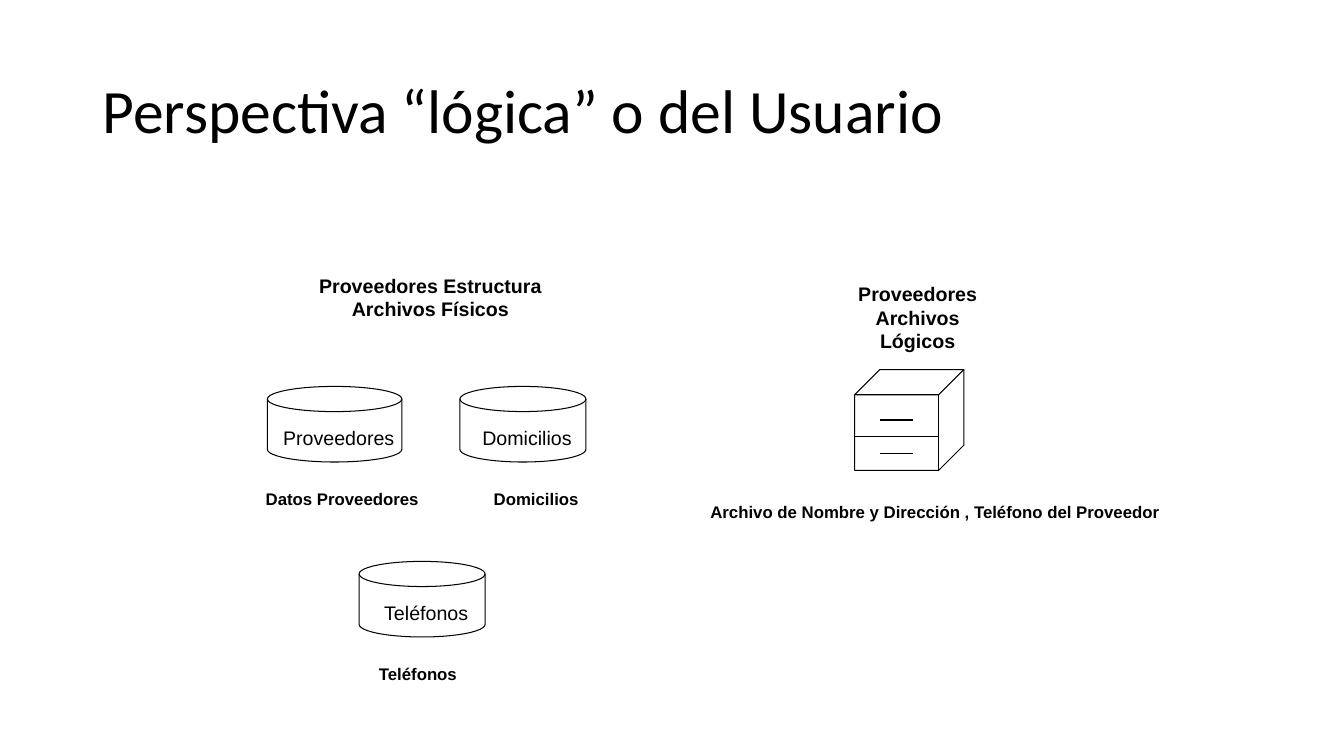
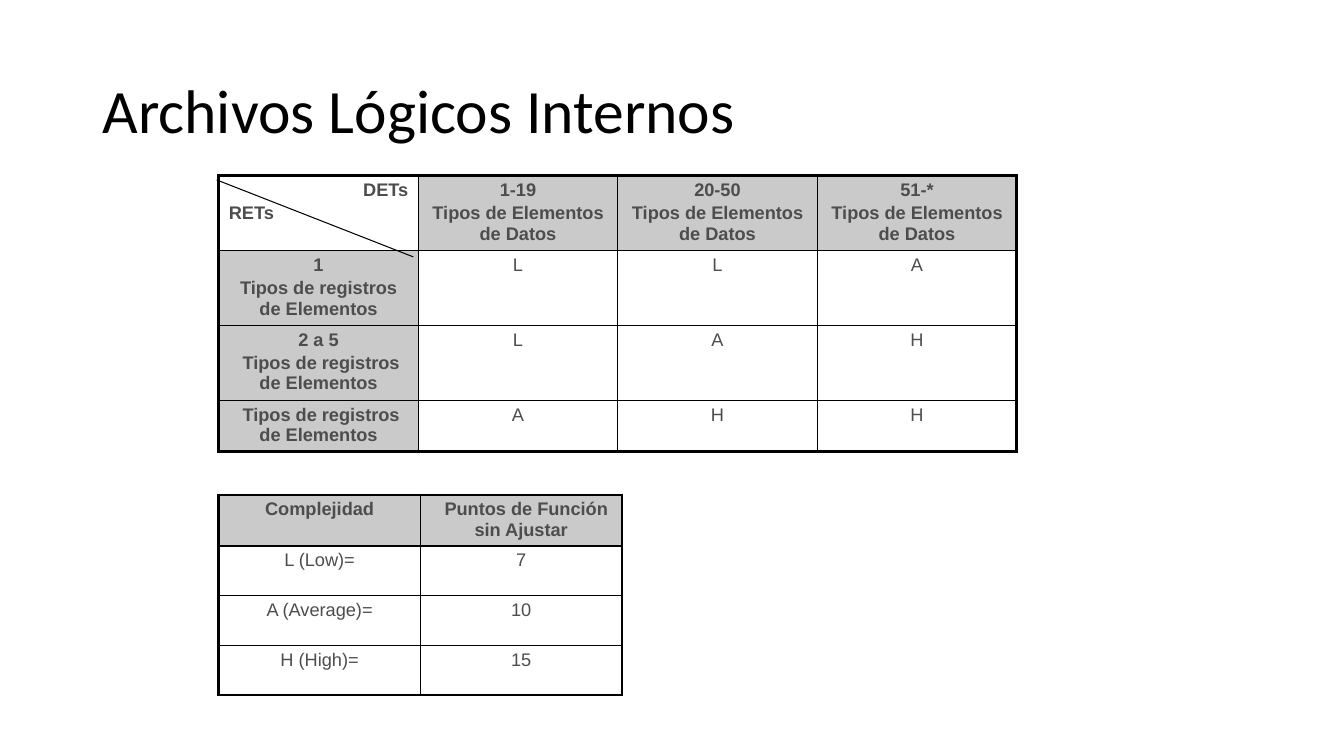
from lxml import etree
from pptx import Presentation
from pptx import util as u
from pptx.dml import color as dml
from pptx.enum import shapes, text
from pptx.oxml import ns

Pt = u.Pt
BLACK, GRAY_TEXT, HEADER_FILL = "000000", "4D4D4D", "CACACA"
THIN, GRID, FRAME = 0.75, 1, 2.25
CENTER, LEFT, RIGHT = text.PP_ALIGN.CENTER, text.PP_ALIGN.LEFT, text.PP_ALIGN.RIGHT


def paint(target, hex_color):
    if hasattr(target, "solid"):
        target.solid()
        target = target.fore_color
    target.rgb = dml.RGBColor.from_string(hex_color)


def style(paragraph, size, bold=False, hex_color=BLACK, font="Arial", align=CENTER):
    paragraph.alignment = align
    for run in paragraph.runs:
        run.font.name = font
        run.font.size = Pt(size)
        run.font.bold = bold
        paint(run.font.color, hex_color)


def add_titled_slide(deck, title_text):
    slide = deck.slides.add_slide(deck.slide_layouts[5])
    title = slide.shapes.title
    title.left, title.top, title.width, title.height = Pt(66), Pt(29), Pt(828), Pt(104)
    frame = title.text_frame
    frame.text = title_text
    frame.auto_size = text.MSO_AUTO_SIZE.NONE
    frame.vertical_anchor = text.MSO_ANCHOR.MIDDLE
    frame.paragraphs[0].line_spacing = 0.9
    style(frame.paragraphs[0], 44, font="Calibri", align=LEFT)
    return slide


def add_label(slide, x, y, w, h, words, size, bold=True):
    frame = slide.shapes.add_textbox(Pt(x), Pt(y), Pt(w), Pt(h)).text_frame
    frame.word_wrap = True
    frame.text = words
    style(frame.paragraphs[0], size, bold)


def add_outline(slide, preset, x, y, w, h):
    outline = slide.shapes.add_shape(preset, Pt(x), Pt(y), Pt(w), Pt(h))
    outline.shadow.inherit = False
    outline.fill.background()
    paint(outline.line.fill, BLACK)
    outline.line.width = Pt(THIN)
    return outline


def add_line(slide, x1, y1, x2, y2):
    line = slide.shapes.add_connector(
        shapes.MSO_CONNECTOR.STRAIGHT, Pt(x1), Pt(y1), Pt(x2), Pt(y2))
    paint(line.line.fill, BLACK)
    line.line.width = Pt(THIN)
    etree.SubElement(line._element.spPr, ns.qn("a:effectLst"))


def add_disk(slide, x, y, w, name, caption, caption_shift):
    add_outline(slide, shapes.MSO_SHAPE.FLOWCHART_MAGNETIC_DISK, x, y, w, 54)
    center = x + w / 2
    add_label(slide, center - 48, y + 24.5, 102, 24, name, 14, bold=False)
    add_label(slide, center + caption_shift - 66, y + 69.5, 132, 21.5, caption, 12)


def add_physical_files(slide, x, y):
    add_label(slide, x + 42, y, 174, 41, "Proveedores Estructura Archivos Físicos", 14)
    add_disk(slide, x + 12.5, y + 84, 96, "Proveedores", "Datos Proveedores", 5.5)
    add_disk(slide, x + 150, y + 84, 90, "Domicilios", "Domicilios", 9.5)
    add_disk(slide, x + 78, y + 209, 90, "Teléfonos", "Teléfonos", -3)


def add_cabinet(slide, x, y):
    cabinet = add_outline(slide, shapes.MSO_SHAPE.CUBE, x, y, 78, 72)
    cabinet.adjustments[0] = 0.25
    add_line(slide, x, y + 48, x + 60, y + 48)
    for handle in (36, 60):
        add_line(slide, x + 18, y + handle, x + 42, y + handle)


def add_logical_files(slide, x, y):
    add_label(slide, x + 113.5, y, 126, 57.5, "Proveedores Archivos Lógicos", 14)
    add_cabinet(slide, x + 131.5, y + 66)
    add_label(slide, x, y + 157, 378, 21.5,
              "Archivo de Nombre y Dirección , Teléfono del Proveedor", 12)


def add_borders(cell, edges):
    properties = cell._tc.get_or_add_tcPr()
    for position, (side, is_frame) in enumerate(edges):
        border = etree.Element(ns.qn("a:ln" + side), w=str(Pt(FRAME if is_frame else GRID)))
        fill = etree.SubElement(border, ns.qn("a:solidFill"))
        etree.SubElement(fill, ns.qn("a:srgbClr"), val=BLACK)
        properties.insert(position, border)


def fill_cell(cell, lines, header, shaded, aligns, indent):
    cell.margin_top = cell.margin_bottom = Pt(3.25)
    if shaded:
        paint(cell.fill, HEADER_FILL)
    else:
        cell.fill.background()
    cell.text_frame.text = lines
    paragraphs = cell.text_frame.paragraphs
    for number, paragraph in enumerate(paragraphs):
        if number:
            paragraph.space_before = Pt(2)
        style(paragraph, 13, header, GRAY_TEXT, align=aligns[number])
    if indent:
        properties = paragraphs[-1]._p.get_or_add_pPr()
        properties.set("marL", "0")
        properties.set("indent", str(Pt(indent)))


def add_grid(slide, x, y, column_width, heights, rows, header_columns=0, split_corner=False,
             indents={}):
    columns = len(rows[0])
    table = slide.shapes.add_table(
        len(rows), columns, Pt(x), Pt(y), Pt(column_width * columns), Pt(sum(heights))).table
    table.first_row = table.horz_banding = False
    for column in table.columns:
        column.width = Pt(column_width)
    for r, row in enumerate(rows):
        table.rows[r].height = Pt(heights[r])
        for c, lines in enumerate(row):
            header = r == 0 or c < header_columns
            corner = split_corner and r == c == 0
            fill_cell(table.cell(r, c), lines, header, header and not corner,
                      (RIGHT, LEFT) if corner else (CENTER, CENTER), indents.get((r, c), 0))
            add_borders(table.cell(r, c), (
                ("L", c == 0), ("R", c == columns - 1),
                ("T", r == 0), ("B", r == len(rows) - 1)))


def add_complexity_matrix(slide, x, y):
    elements, records = "Tipos de Elementos de Datos", "Tipos de registros de Elementos"
    rows = [
        ["DETs\nRETs"] + [f"{span}\n{elements}" for span in ("1-19", "20-50", "51-*")],
        [f"1\n{records}", "L", "L", "A"],
        [f"2 a 5\n{records}", "L", "A", "H"],
        [records, "A", "H", "H"],
    ]
    add_grid(slide, x, y, 142.5, [53.5, 53.5, 53.5, 36.5], rows, header_columns=1,
             split_corner=True, indents={(2, 0): 3.6, (3, 0): 3.6})
    add_line(slide, x - 1.5, y + 3, x + 139, y + 58)


def add_function_points(slide, x, y):
    rows = [
        ["Complejidad", "Puntos de Función sin Ajustar"],
        ["L (Low)=", "7"],
        ["A (Average)=", "10"],
        ["H (High)=", "15"],
    ]
    add_grid(slide, x, y, 144, [36.5, 35.5, 35.5, 35.5], rows, indents={(0, 1): 7.2})


def main():
    deck = Presentation()
    deck.slide_width, deck.slide_height = Pt(960), Pt(540)

    perspective = add_titled_slide(deck, "Perspectiva “lógica” o del Usuario")
    add_physical_files(perspective, 178.5, 192)
    add_logical_files(perspective, 479, 198)

    internal_files = add_titled_slide(deck, "Archivos Lógicos Internos")
    add_complexity_matrix(internal_files, 156.25, 125.5)
    add_function_points(internal_files, 156.25, 353.5)

    deck.save("out.pptx")


if __name__ == "__main__":
    main()
